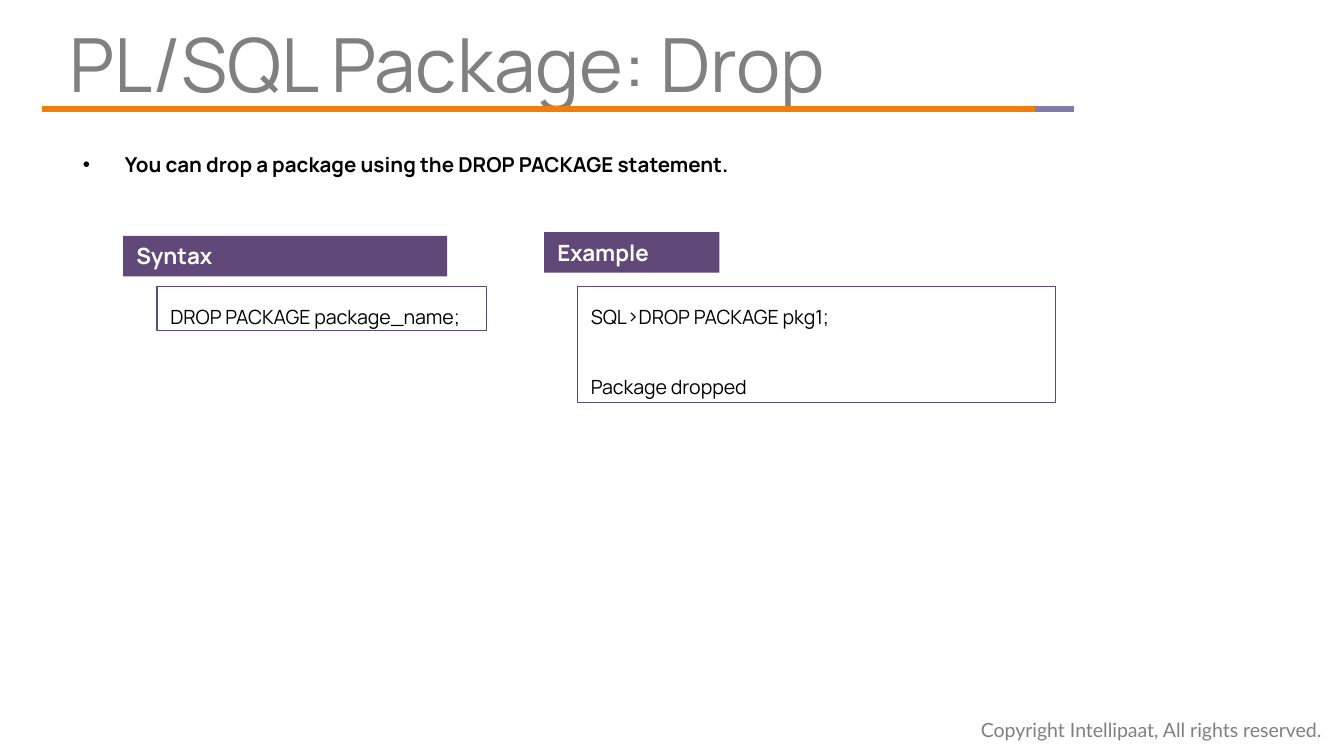
import pptx
import pptx.dml.color
import pptx.enum.shapes
import pptx.enum.text
import pptx.oxml.xmlchemy
import pptx.util
from lxml import etree
from pptx.oxml.ns import qn

Pt = pptx.util.Pt
GREY, PURPLE, BLACK, WHITE = "808080", "604878", "000000", "FFFFFF"
ORANGE, LILAC = "F07F09", "827CA8"


def color(value):
    """Turn a hex string into a colour."""
    return pptx.dml.color.RGBColor.from_string(value)


def write(frame, text, size, ink, font="Manrope", bold=False, spacing=1.0,
          gap=0, hang=0, wrap=True, inset=7.2):
    """Fill a text frame with one paragraph per line of text."""
    frame.word_wrap = wrap
    frame.auto_size = pptx.enum.text.MSO_AUTO_SIZE.NONE
    frame.vertical_anchor = pptx.enum.text.MSO_ANCHOR.TOP
    frame.margin_left, frame.margin_right = Pt(inset), Pt(7.2)
    frame.margin_top = frame.margin_bottom = Pt(3.6)
    for index, line in enumerate(text.split("\n")):
        paragraph = frame.paragraphs[0] if index == 0 else frame.add_paragraph()
        paragraph.text = line
        paragraph.alignment = pptx.enum.text.PP_ALIGN.LEFT
        paragraph.line_spacing = spacing
        paragraph.space_before = Pt(gap if index else 0)
        if hang:
            properties = paragraph._p.get_or_add_pPr()
            properties.set("marL", str(Pt(hang)))
            properties.set("indent", str(-Pt(hang)))
            etree.SubElement(properties, qn("a:buFont"), typeface="Arial")
            etree.SubElement(properties, qn("a:buChar"), char="•")
        paragraph.font.name = font
        paragraph.font.size = Pt(size)
        paragraph.font.bold = bold
        paragraph.font.color.rgb = color(ink)


class Deck:
    """Hold the presentation style and the current slide."""

    def __init__(self, width, height):
        """Open a presentation with one title-only slide."""
        self.presentation = pptx.Presentation()
        self.presentation.slide_width = Pt(width)
        self.presentation.slide_height = Pt(height)
        layout = self.presentation.slide_layouts[5]
        self.slide = self.presentation.slides.add_slide(layout)

    def title(self, text, left, top, width, height):
        """Place and format the title."""
        heading = self.slide.shapes.title
        heading.left, heading.top = Pt(left), Pt(top)
        heading.width, heading.height = Pt(width), Pt(height)
        write(heading.text_frame, text, 40, GREY, spacing=0.9, inset=0)

    def rule(self, start, end, y, ink):
        """Draw a horizontal rule."""
        rule = self.slide.shapes.add_connector(
            pptx.enum.shapes.MSO_CONNECTOR.STRAIGHT, Pt(start), Pt(y), Pt(end), Pt(y))
        rule.line.color.rgb = color(ink)
        rule.line.width = Pt(3)
        etree.SubElement(rule._element.spPr, qn("a:effectLst"))

    def text(self, text, left, top, width, height, **style):
        """Add a text box."""
        box = self.slide.shapes.add_textbox(Pt(left), Pt(top), Pt(width), Pt(height))
        write(box.text_frame, text, **style)

    def panel(self, left, top, width, height):
        """Add a plain rectangle and return it."""
        panel = self.slide.shapes.add_shape(
            pptx.enum.shapes.MSO_SHAPE.RECTANGLE,
            Pt(left), Pt(top), Pt(width), Pt(height))
        panel.shadow.inherit = False
        return panel

    def label(self, text, left, top, width):
        """Add a filled section label."""
        label = self.panel(left, top, width, 21.8)
        label.fill.solid()
        label.fill.fore_color.rgb = color(PURPLE)
        label.line.fill.background()
        write(label.text_frame, text, 12, WHITE, bold=True)

    def code(self, text, left, top, width, height):
        """Add an outlined code box."""
        code = self.panel(left, top, width, height)
        code.fill.background()
        code.line.color.rgb = color(PURPLE)
        code.line.width = Pt(0.75)
        write(code.text_frame, text, 10.5, BLACK, spacing=1.5, gap=19)


def main():
    """Build the slide and save it."""
    deck = Deck(720, 405)
    deck.text("Copyright Intellipaat, All rights reserved.", 518.4, 381, 203.8, 20,
              size=10.5, ink=GREY, font="Lato", wrap=False)
    deck.rule(22.5, 554.5, 58.3, ORANGE)
    deck.rule(554.5, 575.3, 58.3, LILAC)
    deck.title("PL/SQL Package: Drop", 37.4, 11.5, 511.2, 45.4)
    deck.text("You can drop a package using the DROP PACKAGE statement.",
              37.4, 64.8, 612, 29.5, size=11, ink=BLACK, bold=True, spacing=2.0, hang=22.5)
    deck.label("Syntax", 66, 126.3, 173.5)
    deck.code("DROP PACKAGE package_name;", 84.2, 153.4, 176.5, 23.7)
    deck.label("Example", 291.5, 124.3, 94)
    deck.code("SQL>DROP PACKAGE pkg1;\nPackage dropped", 309.4, 153.4, 256, 62.2)
    deck.presentation.save("out.pptx")


if __name__ == "__main__":
    main()
